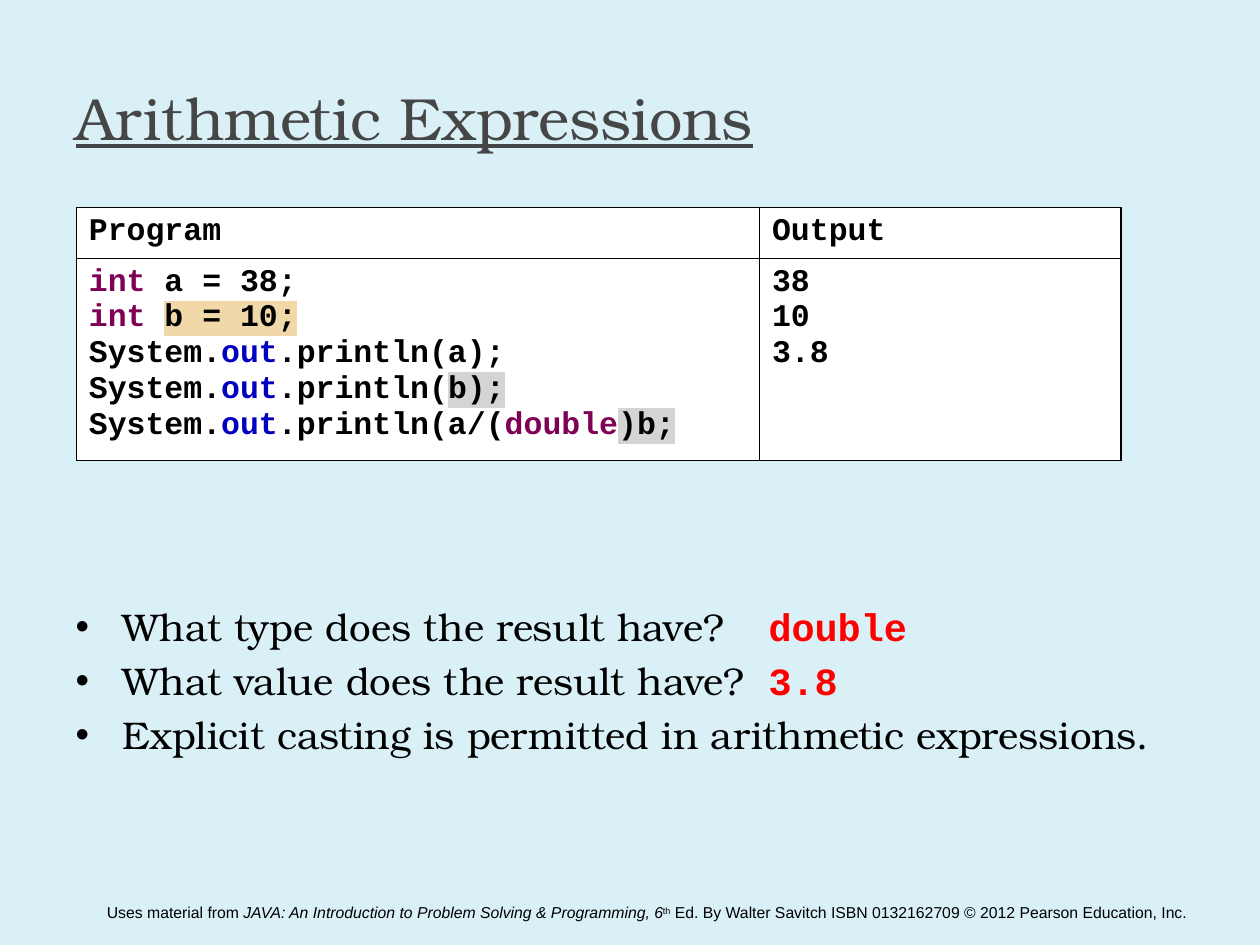
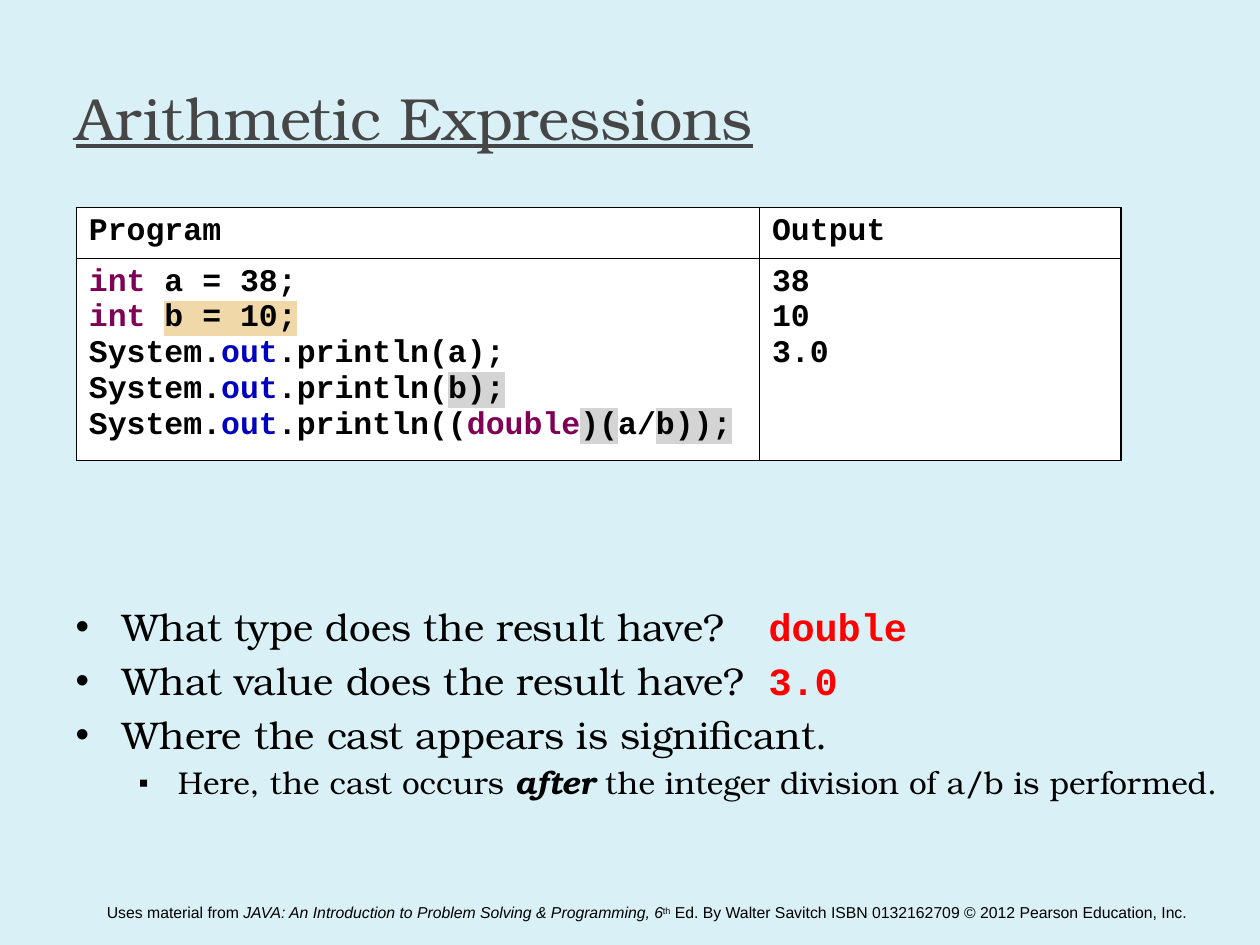
from pptx import Presentation
from pptx.dml.color import RGBColor as RGB
from pptx.enum.text import MSO_ANCHOR as Anchor, MSO_AUTO_SIZE as Fit, PP_ALIGN as Align
from pptx.oxml import parse_xml as parse
from pptx.oxml.ns import nsdecls
from pptx.util import Pt

HUES = {
    "back": "D9F0F6", "title": "464646", "text": "000000", "cell": "FFFFFF",
    "key": "7F0055", "field": "0000C0", "answer": "FF0000",
    "write": "F0D8A8", "read": "D4D4D4",
}
SERIF, MONO, SANS = "TeX Gyre Bonum", "Courier New", "Arial"
NS = nsdecls("a")


def add_run(par, text, face, size, hue="text", bold=False, slant=False, mark=None):
    run = par.add_run()
    run.text = text
    font = run.font
    font.name, font.size = face, Pt(size)
    font.bold, font.italic = bold, slant
    font.color.rgb = RGB.from_string(HUES[hue])
    if mark:
        glow = parse(f'<a:highlight {NS}><a:srgbClr val="{HUES[mark]}"/></a:highlight>')
        run._r.rPr.find("{*}solidFill").addnext(glow)
    return run


def fill_cell(cell, lines):
    props = cell._tc.get_or_add_tcPr()
    for side in "LRTB":
        props.append(parse(
            f'<a:ln{side} {NS} w="{Pt(1)}"><a:solidFill><a:srgbClr val="{HUES["text"]}"/>'
            f'</a:solidFill></a:ln{side}>'))
    cell.fill.solid()
    cell.fill.fore_color.rgb = RGB.from_string(HUES["cell"])
    frame = cell.text_frame
    for num, line in enumerate(lines):
        par = frame.add_paragraph() if num else frame.paragraphs[0]
        par.alignment = Align.LEFT
        for text, hue, mark in line:
            add_run(par, text, MONO, 18, hue, bold=True, mark=mark)


SYSTEM = [("System.", "text", None), ("out", "field", None)]
START = [
    [("int", "key", None), (" a = 38;", "text", None)],
    [("int ", "key", None), ("b = 10;", "text", "write")],
    SYSTEM + [(".println(a);", "text", None)],
    SYSTEM + [(".println(", "text", None), ("b);", "text", "read")],
]

PAGES = [
    {
        "value": "3.8",
        "print": [(".println(a/(", "text", None), ("double", "key", None),
                  (")b;", "text", "read")],
        "point": "Explicit casting is permitted in arithmetic expressions.",
        "detail": [],
    },
    {
        "value": "3.0",
        "print": [(".println((", "text", None), ("double", "key", None),
                  (")(", "text", "read"), ("a/", "text", None), ("b));", "text", "read")],
        "point": "Where the cast appears is significant.",
        "detail": [("Here, the cast occurs ", False), ("after", True),
                   (" the integer division of a/b is performed.", False)],
    },
]

FOOT = [
    ("Uses material from ", False, 0),
    ("JAVA: An Introduction to Problem Solving & Programming, 6", True, 0),
    ("th", False, 30000),
    (" Ed. By Walter Savitch ISBN 0132162709 © 2012 Pearson Education, Inc.", False, 0),
]

LEVELS = [
    {"char": "•", "size": 22, "left": 27, "hang": 27, "scale": 100},
    {"char": "▪", "size": 18, "left": 58.5, "hang": 22.5, "scale": 90},
]

deck = Presentation()
deck.slide_width, deck.slide_height = Pt(720), Pt(540)
back = deck.slide_master.background.fill
back.solid()
back.fore_color.rgb = RGB.from_string(HUES["back"])

for page in PAGES:
    slide = deck.slides.add_slide(deck.slide_layouts[1])

    foot = slide.shapes.add_textbox(Pt(54), Pt(512.6), Pt(648), Pt(20)).text_frame
    foot.word_wrap = True
    for text, slant, lift in FOOT:
        run = add_run(foot.paragraphs[0], text, SANS, 9, slant=slant)
        if lift:
            run._r.rPr.set("baseline", str(lift))

    title = slide.shapes.title
    title.left, title.top, title.width, title.height = Pt(36), Pt(21.6), Pt(648), Pt(90)
    title.text_frame.vertical_anchor = Anchor.MIDDLE
    par = title.text_frame.paragraphs[0]
    par.alignment = Align.LEFT
    add_run(par, "Arithmetic Expressions", SERIF, 34, "title").font.underline = True

    table = slide.shapes.add_table(2, 2, Pt(43.6), Pt(118.6), Pt(597), Pt(138.2)).table
    for col, width in zip(table.columns, (390.4, 206.6)):
        col.width = Pt(width)
    for row, height in zip(table.rows, (29.2, 109)):
        row.height = Pt(height)
    cells = [
        [[("Program", "text", None)]],
        [[("Output", "text", None)]],
        START + [SYSTEM + page["print"]],
        [[(text, "text", None)] for text in ("38", "10", page["value"])],
    ]
    for cell, lines in zip(table.iter_cells(), cells):
        fill_cell(cell, lines)

    body = slide.placeholders[1]
    body.left, body.top, body.width, body.height = Pt(36), Pt(341), Pt(678), Pt(148)
    frame = body.text_frame
    frame.word_wrap, frame.auto_size = True, Fit.NONE
    frame.vertical_anchor = Anchor.TOP
    items = [
        (0, [("What type does the result have?\t", False)], "double"),
        (0, [("What value does the result have?\t", False)], page["value"]),
        (0, [(page["point"], False)], None),
    ]
    if page["detail"]:
        items.append((1, page["detail"], None))
    for num, (level, parts, answer) in enumerate(items):
        par = frame.add_paragraph() if num else frame.paragraphs[0]
        look = LEVELS[level]
        par.level = level
        props = par._p.get_or_add_pPr()
        props.set("marL", str(Pt(look["left"])))
        props.set("indent", str(-Pt(look["hang"])))
        for tag in (f'buSzPct {NS} val="{look["scale"] * 1000}"',
                    f'buFont {NS} typeface="{SANS}"',
                    f'buChar {NS} char="{look["char"]}"'):
            props.append(parse(f"<a:{tag}/>"))
        par.space_before = Pt(look["size"] * 0.2 if num else 0)
        for text, strong in parts:
            add_run(par, text, SERIF, look["size"], bold=strong, slant=strong)
        if answer:
            add_run(par, answer, MONO, look["size"], "answer", bold=True)

deck.save("out.pptx")
